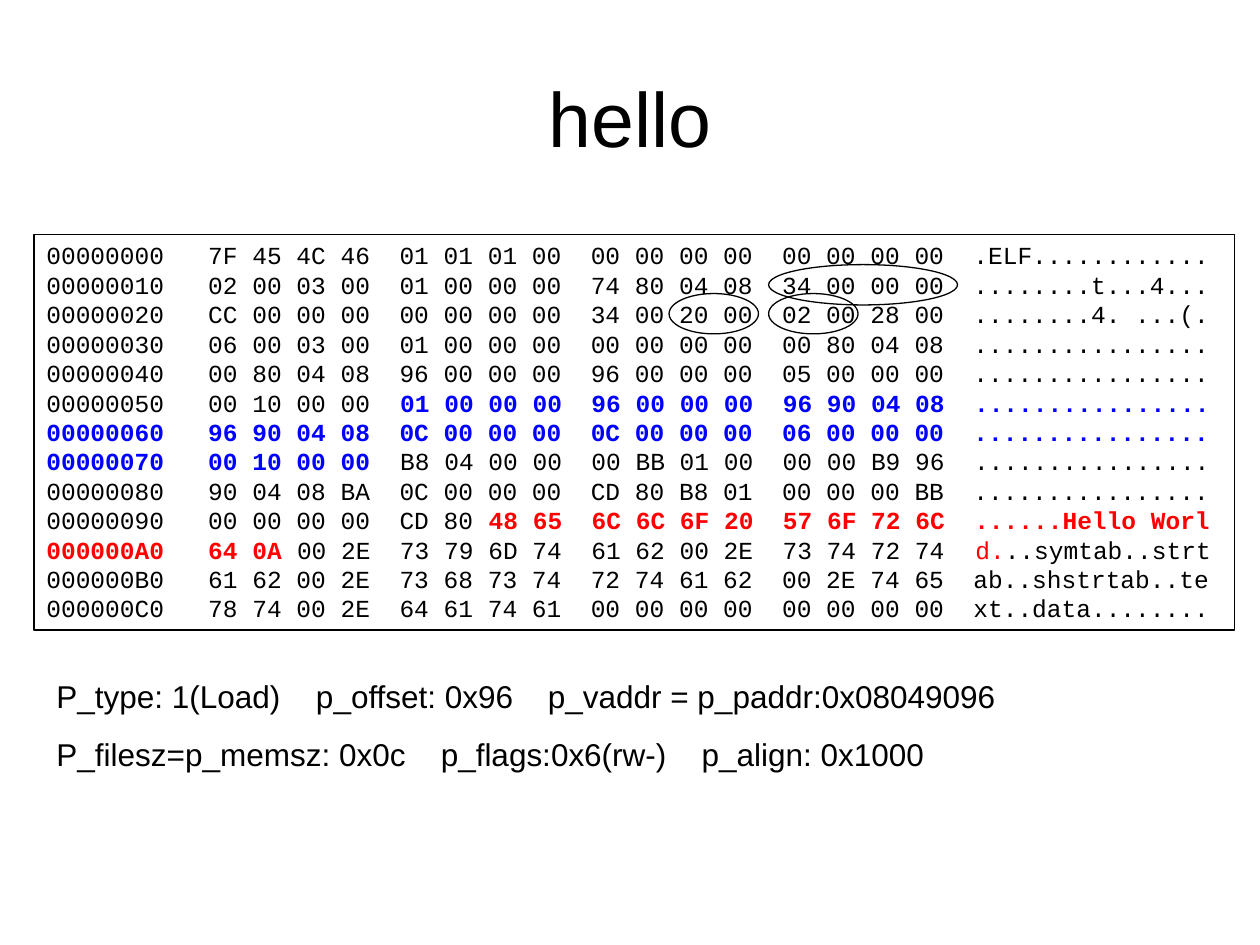
from lxml.etree import SubElement
from pptx import Presentation
from pptx.dml.color import RGBColor
from pptx.enum.shapes import MSO_SHAPE as Shape
from pptx.enum.text import MSO_ANCHOR as Anchor, PP_ALIGN as Align
from pptx.oxml.ns import qn
from pptx.util import Inches, Pt

BLACK = RGBColor(0x00, 0x00, 0x00)
BLUE = RGBColor(0x00, 0x00, 0xFF)
RED = RGBColor(0xFF, 0x00, 0x00)

PLAIN = {"color": BLACK, "bold": False}
PROGRAM_HEADER = {"color": BLUE, "bold": True}
MESSAGE = {"color": RED, "bold": True}
MESSAGE_END = {"color": RED, "bold": False}

# Consecutive spans of the dump; a span may cover several lines.
HEX_DUMP = [
    (PLAIN, """\
00000000   7F 45 4C 46  01 01 01 00  00 00 00 00  00 00 00 00  .ELF............
00000010   02 00 03 00  01 00 00 00  74 80 04 08  34 00 00 00  ........t...4...
00000020   CC 00 00 00  00 00 00 00  34 00 20 00  02 00 28 00  ........4. ...(.
00000030   06 00 03 00  01 00 00 00  00 00 00 00  00 80 04 08  ................
00000040   00 80 04 08  96 00 00 00  96 00 00 00  05 00 00 00  ................
00000050   00 10 00 00  """),
    (PROGRAM_HEADER, """\
01 00 00 00  96 00 00 00  96 90 04 08  ................
00000060   96 90 04 08  0C 00 00 00  0C 00 00 00  06 00 00 00  ................
00000070   00 10 00 00"""),
    (PLAIN, """\
  B8 04 00 00  00 BB 01 00  00 00 B9 96  ................
00000080   90 04 08 BA  0C 00 00 00  CD 80 B8 01  00 00 00 BB  ................
00000090   00 00 00 00  CD 80 """),
    (MESSAGE, """\
48 65  6C 6C 6F 20  57 6F 72 6C  ......Hello Worl
000000A0   64 0A"""),
    (PLAIN, " 00 2E  73 79 6D 74  61 62 00 2E  73 74 72 74  "),
    (MESSAGE_END, "d."),
    (PLAIN, """\
..symtab..strt
000000B0   61 62 00 2E  73 68 73 74  72 74 61 62  00 2E 74 65  ab..shstrtab..te
000000C0   78 74 00 2E  64 61 74 61  00 00 00 00  00 00 00 00  xt..data........"""),
]

# Fields of each line with the tab stops (inches) that separate them.
FIELD_LINES = [
    (["P_type: 1(Load)", "p_offset: 0x96", "p_vaddr = p_paddr:0x08049096"],
     [2.06, 3.9]),
    (["P_filesz=p_memsz: 0x0c", "p_flags:0x6(rw-)", "p_align: 0x1000"],
     [3.05, 5.12]),
]

# left, top, width of the circled bytes
CIRCLES = [(6.1, 2.1, 1.5), (5.31, 2.33, 0.71), (6.1, 2.33, 0.71)]


def apply_format(target, values):
    for name, value in values.items():
        setattr(target, name, value)


def add_span(para, text, font, size, color=BLACK, bold=False):
    span = para.add_run()
    span.text = text
    apply_format(span.font, {"name": font, "size": Pt(size), "bold": bold})
    span.font.color.rgb = color


def add_outline(page, kind, left, top, width, height):
    shape = page.shapes.add_shape(
        kind, Inches(left), Inches(top), Inches(width), Inches(height))
    shape.shadow.inherit = False
    shape.fill.background()
    shape.line.color.rgb = BLACK
    shape.line.width = Pt(0.75)
    return shape


def add_box(page, left, top, width, height, anchor=Anchor.TOP):
    box = page.shapes.add_textbox(
        Inches(left), Inches(top), Inches(width), Inches(height))
    apply_format(box.text_frame, {"word_wrap": True, "vertical_anchor": anchor})
    return box.text_frame


def add_tab_stops(para, positions):
    stops = SubElement(para._p.get_or_add_pPr(), qn("a:tabLst"))
    for position in positions:
        SubElement(stops, qn("a:tab"), pos=str(Inches(position)), algn="l")


def add_title(page, text):
    para = add_box(page, 0.5, 0.3, 9, 1.25, Anchor.MIDDLE).paragraphs[0]
    para.alignment = Align.CENTER
    add_span(para, text, "Arial", 44)


def add_hex_dump(page):
    frame = add_outline(page, Shape.RECTANGLE, 0.27, 1.86, 9.53, 3.14).text_frame
    apply_format(frame, {"word_wrap": True, "vertical_anchor": Anchor.TOP})
    para = frame.paragraphs[0]
    for style, text in HEX_DUMP:
        for index, line in enumerate(text.split("\n")):
            if index:
                para = frame.add_paragraph()
            add_span(para, line, "Courier New", 14, **style)
    for para in frame.paragraphs:
        apply_format(para, {"alignment": Align.LEFT, "line_spacing": Pt(16.8)})


def add_fields(page):
    frame = add_box(page, 0.35, 5.32, 9.37, 0.86)
    for index, (fields, stops) in enumerate(FIELD_LINES):
        para = frame.add_paragraph() if index else frame.paragraphs[0]
        add_tab_stops(para, stops)
        para.line_spacing = Pt(21.9)
        if index:
            para.space_before = Pt(11.2)
        add_span(para, "\t".join(fields), "Arial", 18)


def main():
    deck = Presentation()
    deck.slide_width, deck.slide_height = Inches(10), Inches(7.5)
    page = deck.slides.add_slide(deck.slide_layouts[6])
    add_title(page, "hello")
    add_hex_dump(page)
    for left, top, width in CIRCLES:
        add_outline(page, Shape.OVAL, left, top, width, 0.32)
    add_fields(page)
    deck.save("out.pptx")


if __name__ == "__main__":
    main()
